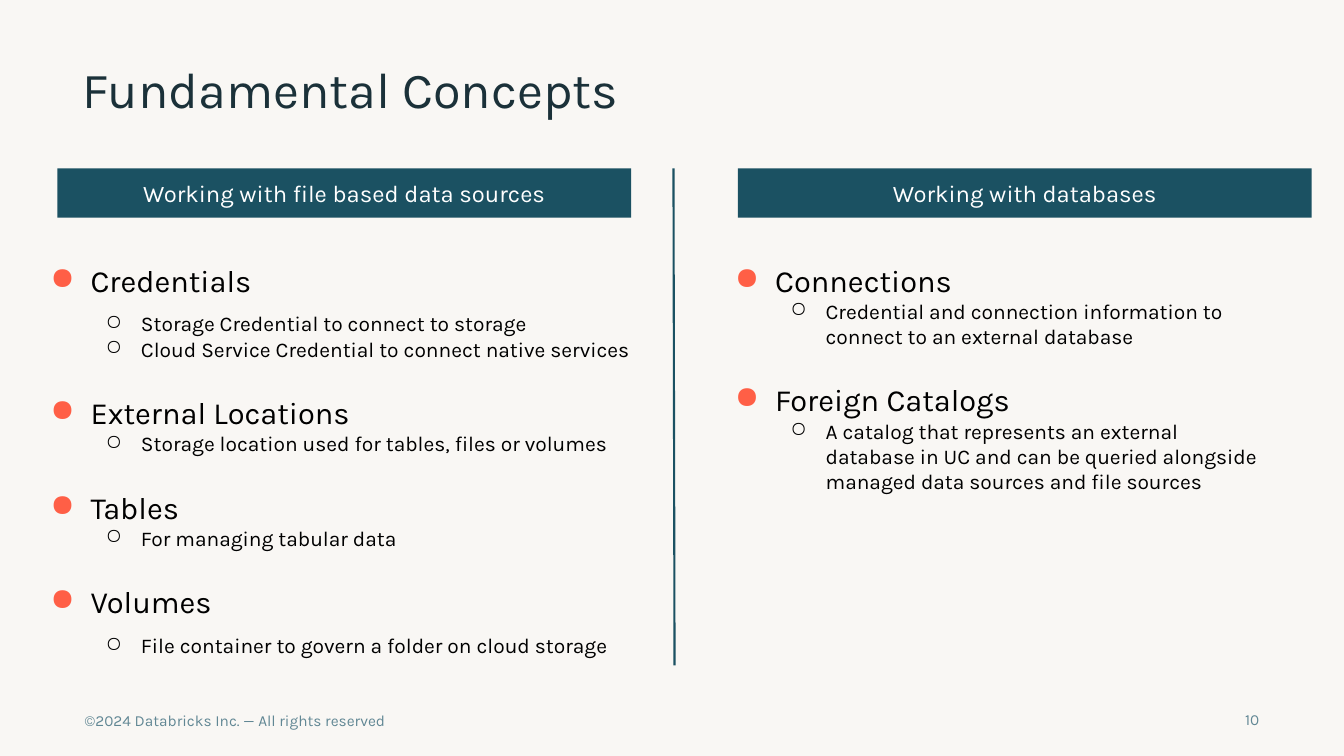
from lxml import etree
from pptx import Presentation
from pptx.dml.color import RGBColor
from pptx.enum.shapes import MSO_CONNECTOR, MSO_SHAPE
from pptx.enum.text import MSO_ANCHOR, PP_ALIGN
from pptx.oxml.ns import qn
from pptx.util import Inches, Pt

RECT = MSO_SHAPE.RECTANGLE
STRAIGHT = MSO_CONNECTOR.STRAIGHT
TOP, MIDDLE = MSO_ANCHOR.TOP, MSO_ANCHOR.MIDDLE
LEFT, CENTER, RIGHT = PP_ALIGN.LEFT, PP_ALIGN.CENTER, PP_ALIGN.RIGHT

WIDTH, HEIGHT = Inches(13.33), Inches(7.5)
FONT = "Karla"
COLORS = {
    "background": "F9F7F4",
    "title": "1B3139",
    "footer": "618794",
    "band": "1B5162",
    "white": "FFFFFF",
    "text": "000000",
    "accent": "FF5F46",
}

# Indents in inches, sizes and spacing in points
CONCEPT = {"char": "●", "bullet": "accent", "left": 0.5, "hang": 0.4,
           "size": 22, "before": 10, "spacing": 1.5}
DETAIL = {"char": "○", "bullet": "text", "left": 1, "hang": 0.35,
          "size": 15, "before": 0, "spacing": 1}

# Boxes are left, top, width, height in percent of the slide
TITLE_BOX = (6.15, 7.87, 87.47, 8.53)
FOOTER_BOX = (5.33, 92.8, 44.11, 6)
NUMBER_BOX = (89.2, 92.67, 5.48, 7.6)
DIVIDER = (50.11, 22.27, 50.19, 88)
BAND_TOP, BAND_WIDTH, BAND_HEIGHT = 22.27, 42.69, 6.53
LIST_TOP = 30.8

# Each detail is its text and line spacing
COLUMNS = [
    {
        "heading": "Working with file based data sources",
        "band_left": 4.28,
        "list_left": 2.25, "list_width": 45.61, "list_height": 59.87,
        "concepts": [
            ("Credentials", [
                ("Storage Credential to connect to storage", 1.5),
                ("Cloud Service Credential to connect native services", 1)]),
            ("External Locations", [
                ("Storage location used for tables, files or volumes", 1)]),
            ("Tables", [("For managing tabular data", 1)]),
            ("Volumes", [
                ("File container to govern a folder on cloud storage", 1.5)]),
        ],
    },
    {
        "heading": "Working with databases",
        "band_left": 54.91,
        "list_left": 53.19, "list_width": 41.86, "list_height": 39.6,
        "concepts": [
            ("Connections", [
                ("Credential and connection information to connect to an "
                 "external database", 1)]),
            ("Foreign Catalogs", [
                ("A catalog that represents an external database in UC and "
                 "can be queried alongside managed data sources and file "
                 "sources", 1)]),
        ],
    },
]


def rgb(name):
    return RGBColor.from_string(COLORS[name])


def place(left, top, width, height):
    """Turn percentages of the slide into lengths."""
    return [int(WIDTH * left / 100), int(HEIGHT * top / 100),
            int(WIDTH * width / 100), int(HEIGHT * height / 100)]


def set_attrs(obj, values):
    for name, value in values.items():
        setattr(obj, name, value)


def set_frame(tf, inset, anchor=TOP):
    margin = Inches(inset)
    set_attrs(tf, {"word_wrap": True, "vertical_anchor": anchor,
                   "margin_left": margin, "margin_top": margin,
                   "margin_right": margin, "margin_bottom": margin})


def write(p, text, size, color, align=LEFT, spacing=1):
    set_attrs(p, {"alignment": align, "line_spacing": spacing})
    r = p.add_run()
    r.text = text
    set_attrs(r.font, {"name": FONT, "size": Pt(size)})
    r.font.color.rgb = rgb(color)


def add_text(slide, box, text, size, color, inset=0.13, anchor=TOP,
             align=LEFT, spacing=1):
    tf = slide.shapes.add_textbox(*place(*box)).text_frame
    set_frame(tf, inset, anchor)
    write(tf.paragraphs[0], text, size, color, align, spacing)


def add_band(slide, box, text):
    sp = slide.shapes.add_shape(RECT, *place(*box))
    sp.shadow.inherit = False
    sp.fill.solid()
    sp.fill.fore_color.rgb = rgb("band")
    sp.line.fill.background()
    set_frame(sp.text_frame, 0.1, MIDDLE)
    write(sp.text_frame.paragraphs[0], text, 17, "white", CENTER)


def add_bullet(p, level):
    pPr = p._p.get_or_add_pPr()
    pPr.set("marL", str(Inches(level["left"])))
    pPr.set("indent", str(-Inches(level["hang"])))
    color = etree.SubElement(pPr, qn("a:buClr"))
    etree.SubElement(color, qn("a:srgbClr"), val=COLORS[level["bullet"]])
    etree.SubElement(pPr, qn("a:buChar"), char=level["char"])


def add_concepts(slide, box, concepts):
    tf = slide.shapes.add_textbox(*place(*box)).text_frame
    set_frame(tf, 0.1)
    items = []
    for concept, details in concepts:
        items.append((CONCEPT, concept, CONCEPT["spacing"]))
        items += [(DETAIL, text, spacing) for text, spacing in details]
    for i, (level, text, spacing) in enumerate(items):
        p = tf.add_paragraph() if i else tf.paragraphs[0]
        add_bullet(p, level)
        p.level = int(level is DETAIL)
        p.space_before = Pt(level["before"] if i else 0)
        write(p, text, level["size"], "text", spacing=spacing)


def add_divider(slide, ends):
    line = slide.shapes.add_connector(STRAIGHT, *place(*ends))
    line.line.width = Pt(1.5)
    line.line.color.rgb = rgb("band")
    etree.SubElement(line._element.spPr, qn("a:effectLst"))


def main():
    prs = Presentation()
    set_attrs(prs, {"slide_width": WIDTH, "slide_height": HEIGHT})
    s = prs.slides.add_slide(prs.slide_layouts[6])
    s.background.fill.solid()
    s.background.fill.fore_color.rgb = rgb("background")

    add_text(s, FOOTER_BOX, "©2024 Databricks Inc. — All rights reserved",
             11, "footer")
    add_text(s, TITLE_BOX, "Fundamental Concepts", 36, "title",
             inset=0, anchor=MIDDLE, spacing=0.9)
    add_text(s, NUMBER_BOX, "10", 11, "footer", align=RIGHT)
    for col in COLUMNS:
        add_concepts(s, (col["list_left"], LIST_TOP, col["list_width"],
                         col["list_height"]), col["concepts"])
        add_band(s, (col["band_left"], BAND_TOP, BAND_WIDTH, BAND_HEIGHT),
                 col["heading"])
    add_divider(s, DIVIDER)
    prs.save("out.pptx")


if __name__ == "__main__":
    main()
